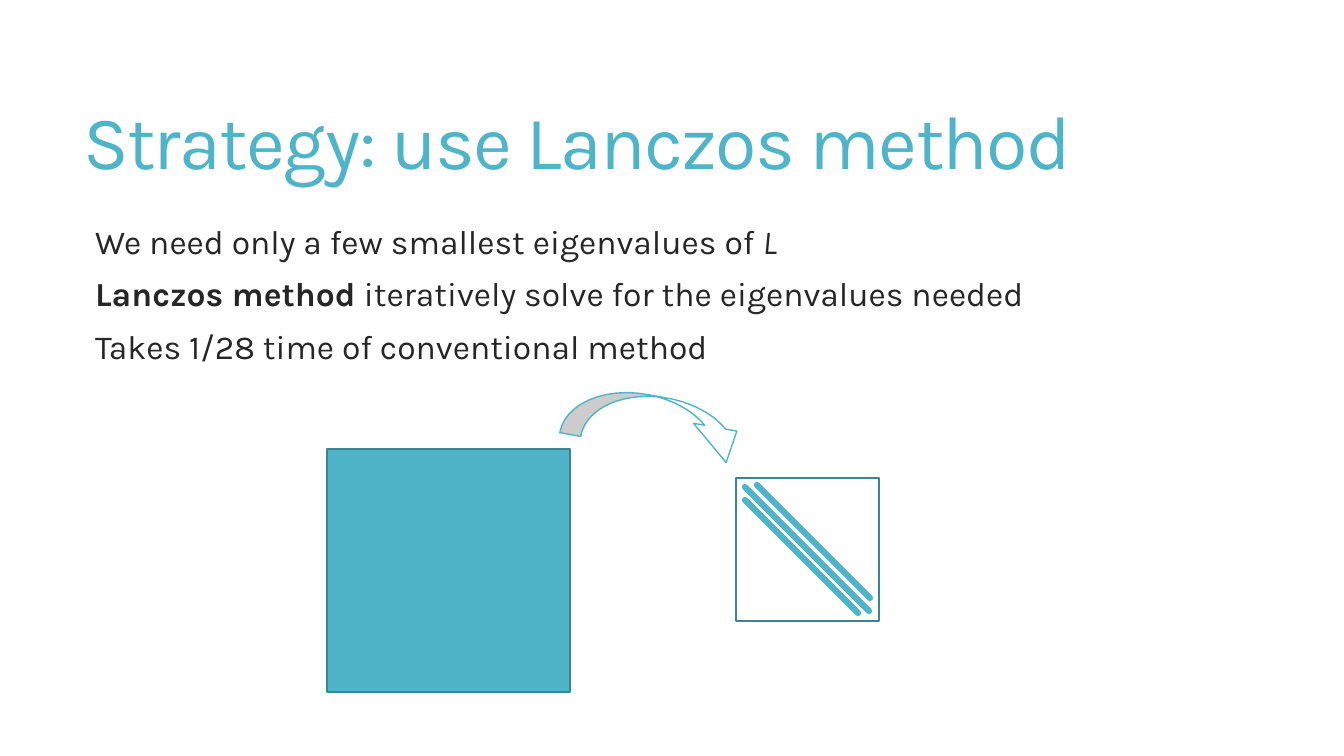
from pptx import Presentation
from pptx.dml.color import RGBColor
from pptx.enum.shapes import MSO_CONNECTOR as Connector, MSO_SHAPE as Shape
from pptx.enum.text import MSO_ANCHOR as Anchor, MSO_AUTO_SIZE as AutoSize, PP_ALIGN as Align
from pptx.oxml.ns import qn
from pptx.util import Pt
from lxml.etree import SubElement

EMU_PER_PX = 12192000 / 1344


def px(length):
    return round(length * EMU_PER_PX)


def color(hex_string):
    return RGBColor.from_string(hex_string)


class StyledSlide:
    FONT = "Karla"
    ACCENT = "50B4C8"
    OUTLINE = "3B8594"
    TEXT = "262626"
    WHITE = "FFFFFF"

    def __init__(self, presentation):
        self.slide = presentation.slides.add_slide(presentation.slide_layouts[1])

    def place(self, placeholder, box, anchor):
        placeholder.left, placeholder.top, placeholder.width, placeholder.height = map(px, box)
        frame = placeholder.text_frame
        frame.word_wrap = True
        frame.auto_size = AutoSize.NONE
        frame.vertical_anchor = anchor
        return frame

    def format(self, paragraph, size, font_color):
        paragraph.alignment = Align.LEFT
        paragraph.line_spacing = 0.85
        paragraph.font.name = self.FONT
        paragraph.font.size = Pt(size)
        paragraph.font.color.rgb = color(font_color)

    def title(self, text, box):
        frame = self.place(self.slide.shapes.title, box, Anchor.MIDDLE)
        paragraph = frame.paragraphs[0]
        self.format(paragraph, 54, self.ACCENT)
        run = paragraph.add_run()
        run.text = text
        run._r.get_or_add_rPr().set("spc", "-120")

    def body(self, lines, box):
        frame = self.place(self.slide.placeholders[1], box, Anchor.TOP)
        for index, runs in enumerate(lines):
            paragraph = frame.add_paragraph() if index else frame.paragraphs[0]
            paragraph.space_before = Pt(13)
            properties = paragraph._p.get_or_add_pPr()
            properties.set("marL", str(px(10)))
            properties.set("indent", str(-px(10)))
            paragraph.line_spacing = 0.85
            SubElement(properties, qn("a:buChar")).set("char", " ")
            self.format(paragraph, 24, self.TEXT)
            for text, emphasis in runs:
                run = paragraph.add_run()
                run.text = text
                if emphasis == "bold":
                    run.font.bold = True
                elif emphasis == "italic":
                    run.font.italic = True

    def shape(self, shapes, kind, box, fill, line):
        shape = shapes.add_shape(kind, *map(px, box))
        shape.shadow.inherit = False
        shape.fill.solid()
        shape.fill.fore_color.rgb = color(fill)
        shape.line.color.rgb = color(line)
        shape.line.width = Pt(1)
        return shape

    def square(self, shapes, left, top, side, fill):
        return self.shape(shapes, Shape.RECTANGLE, (left, top, side, side), fill, self.OUTLINE)

    def diagonal(self, shapes, left, top, length):
        ends = (left, top, left + length, top + length)
        connector = shapes.add_connector(Connector.STRAIGHT, *map(px, ends))
        connector.line.color.rgb = color(self.ACCENT)
        connector.line.width = Pt(4.5)
        connector.line._get_or_add_ln().set("cap", "rnd")
        SubElement(connector._element.spPr, qn("a:effectLst"))

    def banded_matrix(self, left, top, side, diagonals):
        group = self.slide.shapes.add_group_shape()
        self.square(group.shapes, left, top, side, self.WHITE)
        for offset_x, offset_y, length in diagonals:
            self.diagonal(group.shapes, left + offset_x, top + offset_y, length)

    def curved_arrow(self, box, rotation, adjustments):
        arrow = self.shape(self.slide.shapes, Shape.CURVED_DOWN_ARROW, box, self.WHITE, self.ACCENT)
        arrow.rotation = rotation
        for index, value in enumerate(adjustments):
            arrow.adjustments[index] = value


def main():
    presentation = Presentation()
    presentation.slide_width = px(1344)
    presentation.slide_height = px(756)
    strategy = StyledSlide(presentation)
    strategy.title("Strategy: use Lanczos method", (73, 55, 1187, 182))
    strategy.body(
        [
            [("We need only a few smallest eigenvalues of ", None), ("L", "italic")],
            [("Lanczos method ", "bold"), ("iteratively solve for the eigenvalues needed", None)],
            [("Takes 1/28 time of conventional method", None)],
        ],
        (75, 222, 1185, 415),
    )
    strategy.square(strategy.slide.shapes, 327, 449, 243, strategy.ACCENT)
    strategy.banded_matrix(736, 478, 143, [(9, 9, 124), (9, 22, 113), (21, 7, 113)])
    strategy.curved_arrow((563, 397, 191, 53), 10.2, (0.4, 0.83, 0.62))
    presentation.save("out.pptx")


if __name__ == "__main__":
    main()
